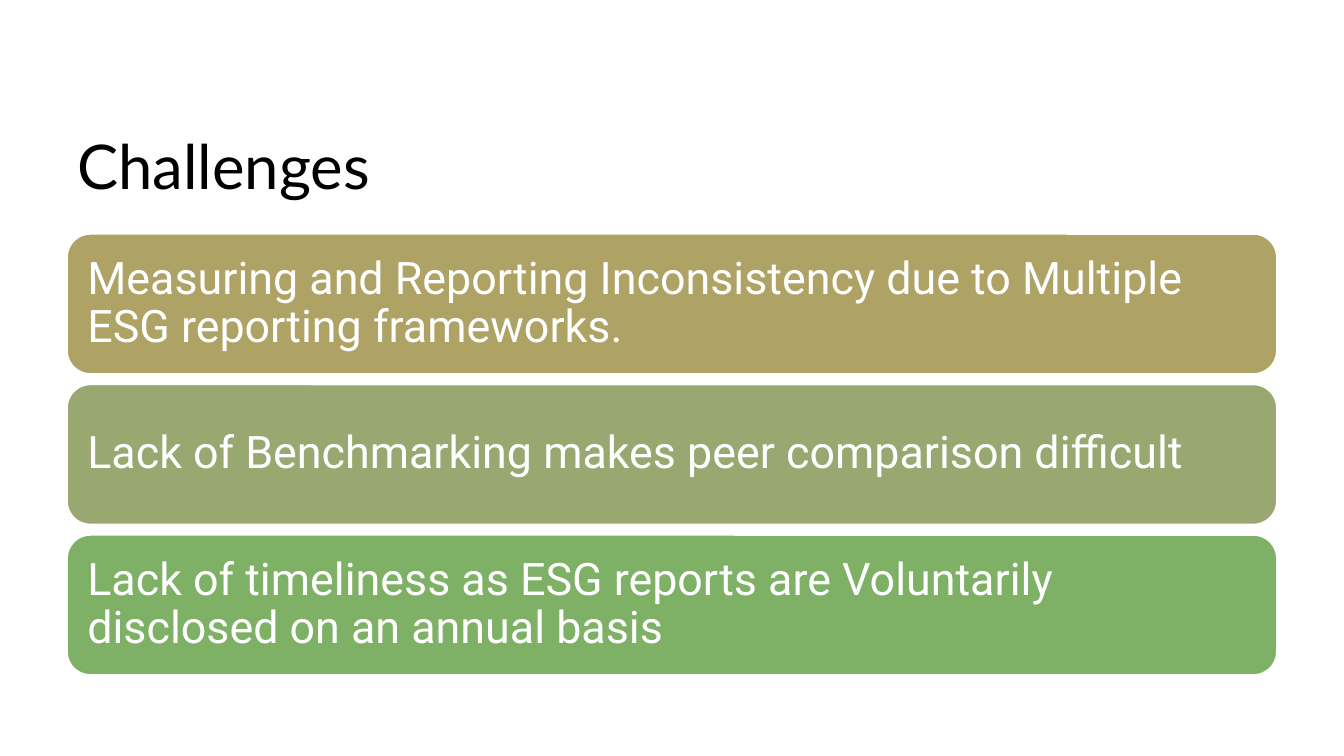
import pptx
import pptx.util
import pptx.dml.color
import pptx.enum.shapes
import pptx.enum.text

Pt = pptx.util.Pt
ANCHOR = pptx.enum.text.MSO_ANCHOR
ROUND = pptx.enum.shapes.MSO_SHAPE.ROUNDED_RECTANGLE


def paint(color, code):
    color.rgb = pptx.dml.color.RGBColor.from_string(code)


def write(frame, text, font, size, code, anchor):
    frame.word_wrap = True
    frame.vertical_anchor = anchor
    para = frame.paragraphs[0]
    para.alignment = pptx.enum.text.PP_ALIGN.LEFT
    para.line_spacing = 0.9
    run = para.add_run()
    run.text = text
    run.font.name = font
    run.font.size = Pt(size)
    paint(run.font.color, code)


deck = pptx.Presentation()
deck.slide_width, deck.slide_height = Pt(960), Pt(540)
slide = deck.slides.add_slide(deck.slide_layouts[6])

left, width = 48, 864

# Title
title = slide.shapes.add_textbox(Pt(left), Pt(44), Pt(width), Pt(104.4))
write(title.text_frame, "Challenges", "Lato", 44, "000000", ANCHOR.BOTTOM)

# Stacked challenge bars
bars = [
    ("AEA265", "Measuring and Reporting Inconsistency due to Multiple ESG reporting frameworks."),
    ("99A771", "Lack of Benchmarking makes peer comparison difficult"),
    ("7EB066", "Lack of timeliness as ESG reports are Voluntarily disclosed on an annual basis"),
]
top, height, pitch = 167.2, 99.8, 107.5
for row, (code, text) in enumerate(bars):
    bar = slide.shapes.add_shape(
        ROUND, Pt(left), Pt(top + row * pitch), Pt(width), Pt(height))
    bar.shadow.inherit = False
    bar.fill.solid()
    paint(bar.fill.fore_color, code)
    bar.line.width = Pt(1)
    paint(bar.line.color, "FFFFFF")
    frame = bar.text_frame
    frame.margin_left = frame.margin_right = Pt(9.6)
    frame.margin_top = frame.margin_bottom = Pt(9.6)
    write(frame, text, "Roboto", 32, "FFFFFF", ANCHOR.MIDDLE)

deck.save("out.pptx")
